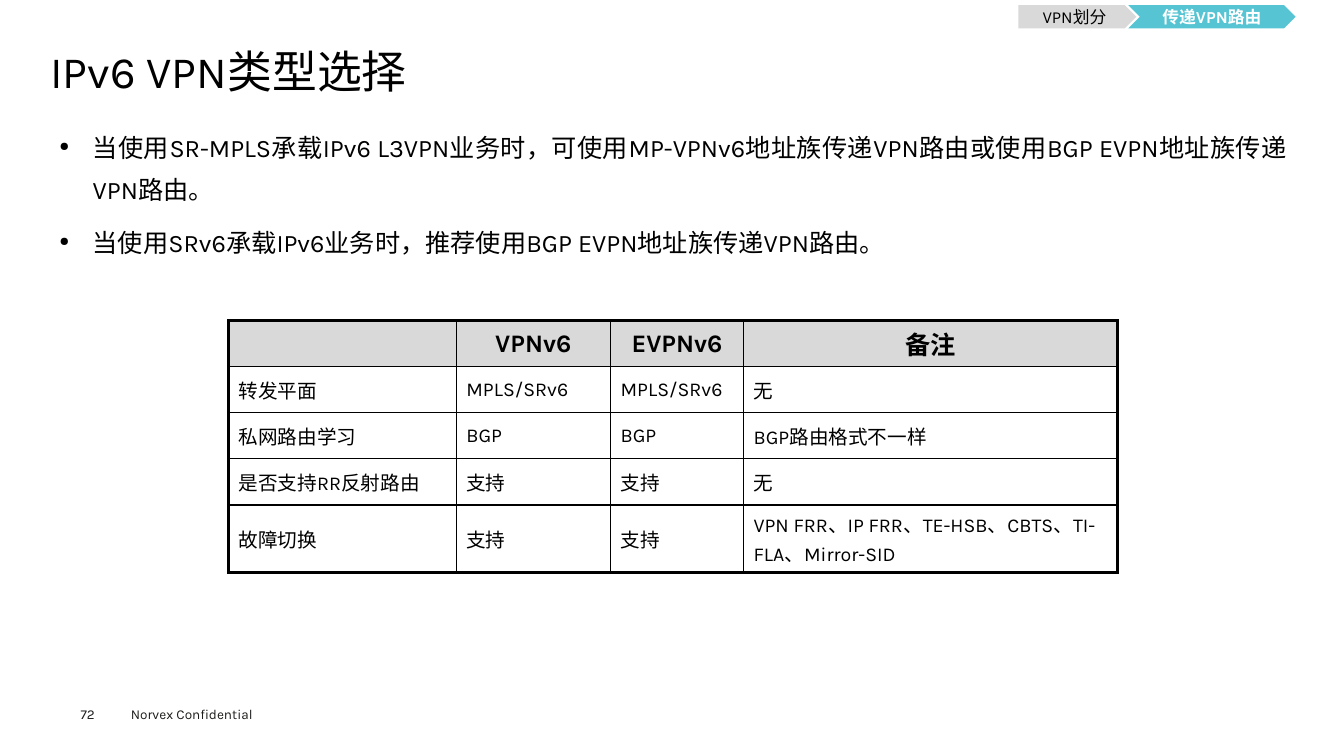
from lxml.etree import SubElement
from pptx import Presentation
from pptx.dml.color import RGBColor
from pptx.enum.shapes import MSO_SHAPE
from pptx.enum.text import MSO_ANCHOR, PP_ALIGN
from pptx.oxml.ns import qn
from pptx.util import Inches, Pt

WIDE, HIGH = Inches(13.33), Inches(7.5)
FACE = "Karla"
BLACK, GREY, TEAL, WHITE, INK = "000000", "D9D9D9", "56C4D2", "FFFFFF", "1D1D1B"

POINTS = [
    "当使用SR-MPLS承载IPv6 L3VPN业务时，可使用MP-VPNv6地址族传递VPN路由或使用BGP EVPN地址族传递VPN路由。",
    "当使用SRv6承载IPv6业务时，推荐使用BGP EVPN地址族传递VPN路由。",
]
COLS = [16.95, 11.48, 9.9, 27.83]
TALL = [6.1] * 4 + [8.9]  # the last row holds two lines
ROWS = [
    ["", "VPNv6", "EVPNv6", "备注"],
    ["转发平面", "MPLS/SRv6", "MPLS/SRv6", "无"],
    ["私网路由学习", "BGP", "BGP", "BGP路由格式不一样"],
    ["是否支持RR反射路由", "支持", "支持", "无"],
    ["故障切换", "支持", "支持", "VPN FRR、IP FRR、TE-HSB、CBTS、TI-FLA、Mirror-SID"],
]


def color(code):
    return RGBColor.from_string(code)


def across(share):
    """Percent of the slide width."""
    return round(WIDE * share / 100)


def down(share):
    """Percent of the slide height."""
    return round(HIGH * share / 100)


def place(left, top, width, height):
    return across(left), down(top), across(width), down(height)


def bullet(para):
    props = para._p.get_or_add_pPr()
    props.set("marL", str(Inches(0.33)))
    props.set("indent", str(-Inches(0.33)))
    SubElement(props, qn("a:buSzPct"), val="50000")
    SubElement(props, qn("a:buChar"), char="●")


def write(frame, text, size=14, ink=BLACK, bold=False, align=PP_ALIGN.LEFT,
          line=None, gap=0, dots=False):
    """Fill a text frame, one paragraph per line of text."""
    frame.word_wrap = True
    for i, words in enumerate(text.split("\n")):
        para = frame.add_paragraph() if i else frame.paragraphs[0]
        if dots:
            bullet(para)
        para.alignment = align
        if line:
            para.line_spacing = line
        if i and gap:
            para.space_before = Pt(gap)
        font = para.font
        if words:
            run = para.add_run()
            run.text = words
            font = run.font
        font.name, font.size, font.bold = FACE, Pt(size), bold
        font.color.rgb = color(ink)


def inset(frame, side, top):
    frame.margin_left = frame.margin_right = Inches(side)
    frame.margin_top = frame.margin_bottom = Inches(top)


def label(slide, area, text, side=0, top=0, **form):
    frame = slide.shapes.add_textbox(*place(*area)).text_frame
    inset(frame, side, top)
    write(frame, text, **form)


def step(slide, kind, area, text, fill, **form):
    """One arrow of the progress trail."""
    shape = slide.shapes.add_shape(kind, *place(*area))
    shape.shadow.inherit = False
    shape.fill.solid()
    shape.fill.fore_color.rgb = color(fill)
    shape.line.fill.background()
    frame = shape.text_frame
    inset(frame, 0, 0)
    frame.vertical_anchor = MSO_ANCHOR.MIDDLE
    write(frame, text, size=12, align=PP_ALIGN.CENTER, **form)


def border(cell, thick):
    """Black edges, heavy on the sides named in thick."""
    props = cell._tc.get_or_add_tcPr()
    for side in "LRTB":
        width = Pt(2.25 if side in thick else 1)
        edge = SubElement(props, qn("a:ln" + side), w=str(width))
        fill = SubElement(edge, qn("a:solidFill"))
        SubElement(fill, qn("a:srgbClr"), val=BLACK)


def grid(slide, left, top):
    area = place(left, top, sum(COLS), sum(TALL))
    table = slide.shapes.add_table(len(ROWS), len(COLS), *area).table
    table.first_row = table.horz_banding = False
    for col, width in zip(table.columns, COLS):
        col.width = across(width)
    for r, row in enumerate(ROWS):
        table.rows[r].height = down(TALL[r])
        for c, text in enumerate(row):
            cell = table.cell(r, c)
            outer = {"L": c == 0, "R": c == len(COLS) - 1,
                     "T": r == 0, "B": r == len(ROWS) - 1}
            border(cell, [side for side in outer if outer[side]])
            cell.vertical_anchor = MSO_ANCHOR.MIDDLE
            if r == 0:
                cell.fill.solid()
                cell.fill.fore_color.rgb = color(GREY)
                write(cell.text_frame, text, size=18, bold=True,
                      align=PP_ALIGN.CENTER)
            else:
                cell.fill.background()
                write(cell.text_frame, text)


def main():
    deck = Presentation()
    deck.slide_width, deck.slide_height = WIDE, HIGH
    slide = deck.slides.add_slide(deck.slide_layouts[6])

    # Footer
    label(slide, (9, 92.67, 12, 3.6), "Norvex Confidential", side=0.1, top=0.05,
          size=9.7, ink=INK)
    label(slide, (6, 93.33, 4.13, 2.13), "72", size=9.7, ink=INK)

    # Title and points
    label(slide, (3.75, 6.53, 92.65, 7.07), "IPv6 VPN类型选择", size=32, line=0.9)
    label(slide, (3.75, 15.33, 92.65, 20.4), "\n".join(POINTS), side=0.09, top=0.04,
          size=18, align=PP_ALIGN.JUSTIFY, line=1.4, gap=7.9, dots=True)

    # Comparison table
    grid(slide, 17, 42.4)

    # Progress trail
    step(slide, MSO_SHAPE.PENTAGON, (75.77, 0.67, 8.78, 3.07), "VPN划分", GREY)
    step(slide, MSO_SHAPE.CHEVRON, (83.95, 0.67, 12.45, 3.07), "传递VPN路由", TEAL,
         ink=WHITE, bold=True)

    deck.save("out.pptx")


if __name__ == "__main__":
    main()
